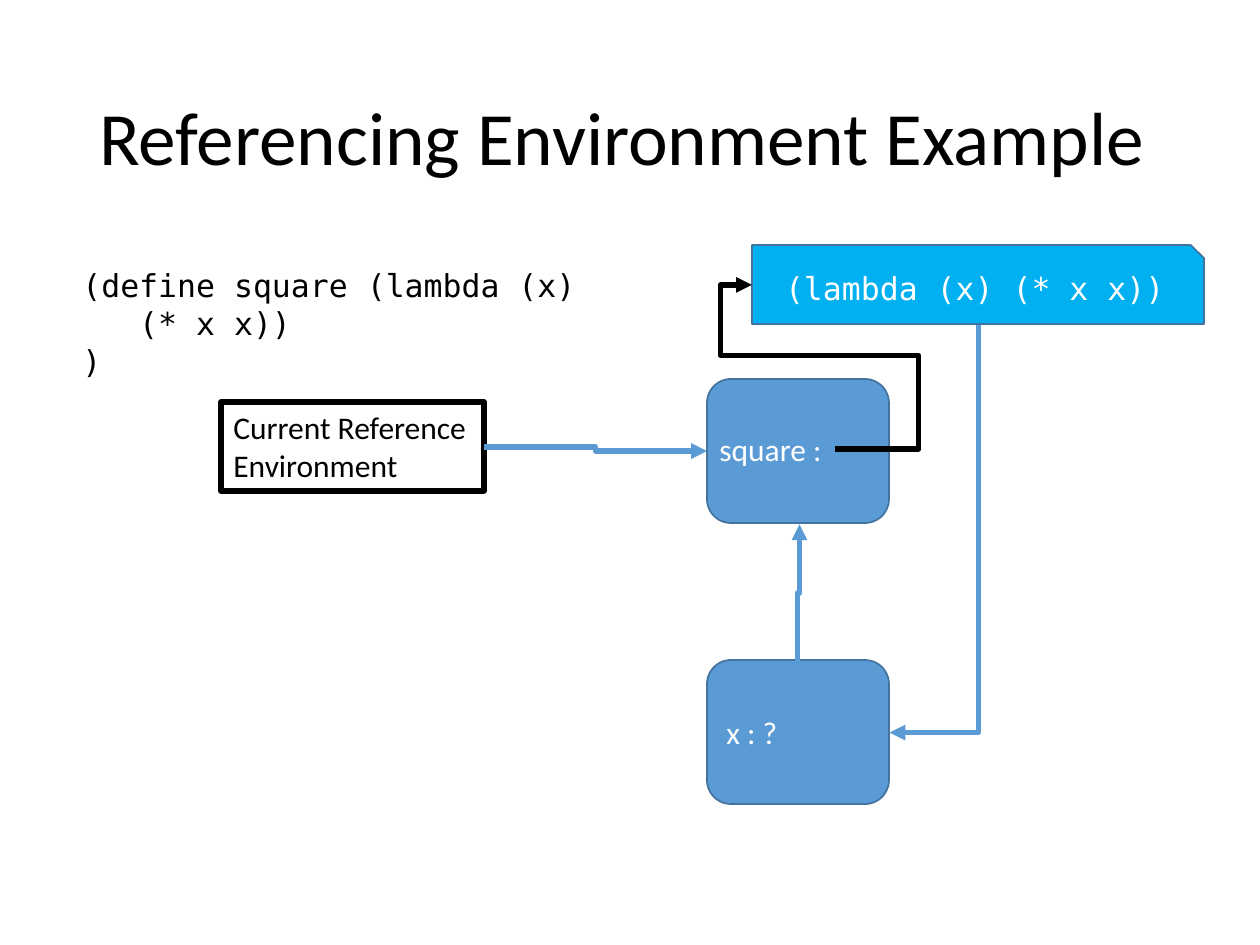
from lxml import etree
from pptx import Presentation, util as u
from pptx.dml.color import RGBColor
from pptx.enum import shapes, text
from pptx.oxml import ns

COLORS = {"black": "000000", "white": "FFFFFF", "blue": "5B9BD5",
          "outline": "43739E", "cyan": "00B0F0"}
SANS = "Calibri"
MONO = "DejaVu Sans Mono"
KIND = shapes.MSO_SHAPE


def px(length):
    return u.Emu(round(length * 914400 / 126))


def color(name):
    return RGBColor.from_string(COLORS[name])


def write(shape, lines, ink, font=SANS, size=18, align="LEFT", anchor="TOP",
          wrap=True, spacing=None):
    frame = shape.text_frame
    frame.word_wrap = wrap
    frame.vertical_anchor = getattr(text.MSO_ANCHOR, anchor)
    for index, line in enumerate(lines):
        paragraph = frame.add_paragraph() if index else frame.paragraphs[0]
        paragraph.alignment = getattr(text.PP_ALIGN, align)
        if spacing:
            paragraph.line_spacing = spacing
        run = paragraph.add_run()
        run.text = line
        run.font.name = font
        run.font.size = u.Pt(size)
        run.font.color.rgb = color(ink)


def add_label(slide, box, lines, ink, **style):
    shape = slide.shapes.add_textbox(*map(px, box))
    write(shape, lines, ink, **style)


def add_box(slide, kind, box, fill, line, width):
    shape = slide.shapes.add_shape(kind, *map(px, box))
    shape.shadow.inherit = False
    if fill:
        shape.fill.solid()
        shape.fill.fore_color.rgb = color(fill)
    else:
        shape.fill.background()
    shape.line.color.rgb = color(line)
    shape.line.width = u.Pt(width)
    return shape


def add_elbow(slide, begin, end, line, bends=3, turn=0, adjustments=()):
    connector = slide.shapes.add_connector(
        shapes.MSO_CONNECTOR.ELBOW, *map(px, begin + end))
    connector.line.color.rgb = color(line)
    connector.line.width = u.Pt(3)
    properties = connector._element.spPr
    if turn:
        properties.find(ns.qn("a:xfrm")).set("rot", str(turn * 60000))
    geometry = properties.find(ns.qn("a:prstGeom"))
    geometry.set("prst", f"bentConnector{bends}")
    guides = geometry.find(ns.qn("a:avLst"))
    for number, value in enumerate(adjustments, 1):
        etree.SubElement(guides, ns.qn("a:gd"), name=f"adj{number}",
                         fmla=f"val {round(value * 100000)}")
    etree.SubElement(properties.find(ns.qn("a:ln")), ns.qn("a:tailEnd"),
                     type="triangle")
    etree.SubElement(properties, ns.qn("a:effectLst"))


def add_environment(slide, top):
    return add_box(slide, KIND.ROUNDED_RECTANGLE, (707, top, 182, 144),
                   "blue", "outline", 1)


def main():
    presentation = Presentation()
    presentation.slide_width = px(1260)
    presentation.slide_height = px(945)
    slide = presentation.slides.add_slide(presentation.slide_layouts[6])

    add_label(slide, (87, 50, 1086, 183), ["Referencing Environment Example"],
              "black", size=43, anchor="MIDDLE", spacing=0.9)

    call_environment = add_environment(slide, 660)
    write(call_environment, ["x : ?"], "white", anchor="MIDDLE")
    add_environment(slide, 379)
    current = add_box(slide, KIND.RECTANGLE, (221, 402, 263, 89),
                      None, "black", 3)
    write(current, ["Current Reference Environment"], "black")

    add_elbow(slide, (484, 447), (707, 451), "blue")
    add_elbow(slide, (730, 484), (1138, 573), "blue", bends=2, turn=90)
    add_elbow(slide, (867, 594), (730, 592), "blue", turn=90)

    closure = add_box(slide, KIND.SNIP_1_RECTANGLE, (752, 245, 452, 79),
                      "cyan", "outline", 1)
    write(closure, ["(lambda (x) (* x x))"], "white", font=MONO,
          align="CENTER", anchor="MIDDLE")
    add_label(slide, (70, 260, 557, 127),
              ["(define square (lambda (x)", "   (* x x))", ")"],
              "black", font=MONO, wrap=False)

    add_elbow(slide, (835, 449), (752, 285), "black", bends=5,
              adjustments=(-1.01, 0.57, 1.38))
    add_label(slide, (707, 424, 129, 50), ["square :"], "white", wrap=False)

    presentation.save("out.pptx")


if __name__ == "__main__":
    main()
